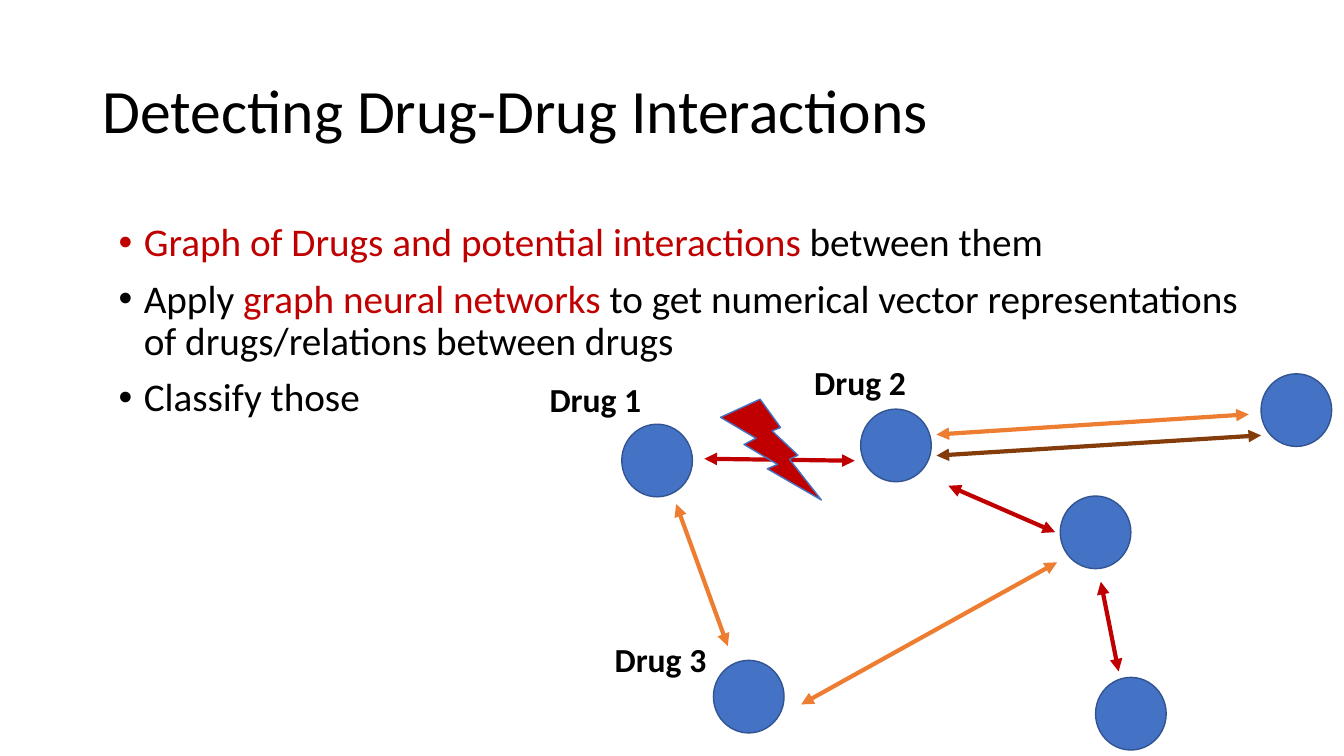
import lxml.etree
import pptx
import pptx.dml.color
import pptx.enum.shapes
import pptx.enum.text
import pptx.oxml.ns
import pptx.util

Cm = pptx.util.Cm
BLACK, RED, ORANGE, BROWN = "000000", "C00000", "ED7D31", "843C0B"
BLUE, DARK_BLUE = "4472C4", "325491"

BULLETS = [
    [("Graph of Drugs and potential interactions ", RED), ("between them", BLACK)],
    [("Apply ", BLACK), ("graph neural networks ", RED),
     ("to get numerical vector representations of drugs/relations between drugs", BLACK)],
    [("Classify those", BLACK)],
]
DRUG_NODES = [(2.07, 1.69), (8.09, 1.31), (4.38, 7.64),
              (18.18, 0.42), (14.01, 8.07), (13.12, 3.5)]
DRUG_LABELS = [("Drug 1", 0, 0.42), ("Drug 2", 6.67, 0), ("Drug 3", 1.64, 6.98)]
INTERACTIONS = [
    (3.44, 3.7, 4.74, 7.28, ORANGE),
    (4.15, 2.56, 7.94, 2.61, RED),
    (14.14, 5.66, 14.59, 7.92, RED),
    (17.87, 1.44, 10, 1.95, ORANGE),
    (13.04, 5.17, 6.59, 8.75, ORANGE),
    (10, 2.48, 18.18, 1.97, BROWN),
    (10.3, 3.24, 12.99, 4.41, RED),
]


def color(value):
    """Return the colour for a hex string."""
    return pptx.dml.color.RGBColor.from_string(value)


def apply_format(target, values):
    """Set attributes of an object from a dict."""
    for name, value in values.items():
        setattr(target, name, value)


def add_span(para, text, size, hex_color, bold=False):
    """Add a formatted run to a paragraph."""
    span = para.add_run()
    span.text = text
    apply_format(span.font, {"name": "Calibri", "size": pptx.util.Pt(size), "bold": bold})
    span.font.color.rgb = color(hex_color)


def add_text_box(page, box, wrap=True, anchor=pptx.enum.text.MSO_ANCHOR.TOP):
    """Add an empty text box and return its frame."""
    frame = page.shapes.add_textbox(*map(Cm, box)).text_frame
    apply_format(frame, {"word_wrap": wrap, "vertical_anchor": anchor})
    return frame


def add_bullet(para):
    """Give a paragraph a hanging round bullet."""
    properties = para._p.get_or_add_pPr()
    apply_format(para, {"line_spacing": 0.9, "space_before": pptx.util.Pt(10)})
    properties.set("marL", str(Cm(0.635)))
    properties.set("indent", str(-Cm(0.635)))
    for tag, values in (("a:buFont", {"typeface": "Arial"}), ("a:buChar", {"char": "•"})):
        lxml.etree.SubElement(properties, pptx.oxml.ns.qn(tag), values)


def add_filled_shape(page, kind, box, fill, line):
    """Add a flat preset shape with a thin outline."""
    shape = page.shapes.add_shape(kind, *map(Cm, box))
    shape.shadow.inherit = False
    shape.fill.solid()
    shape.fill.fore_color.rgb = color(fill)
    shape.line.color.rgb = color(line)
    shape.line.width = pptx.util.Pt(1)


def add_double_arrow(page, ends, hex_color):
    """Add a straight line with an arrowhead at each end."""
    arrow = page.shapes.add_connector(pptx.enum.shapes.MSO_CONNECTOR.STRAIGHT, *map(Cm, ends))
    arrow.line.color.rgb = color(hex_color)
    arrow.line.width = pptx.util.Pt(3)
    for tag in ("a:headEnd", "a:tailEnd"):
        lxml.etree.SubElement(arrow.line._get_or_add_ln(), pptx.oxml.ns.qn(tag), type="triangle")
    lxml.etree.SubElement(arrow._element.spPr, pptx.oxml.ns.qn("a:effectLst"))


def add_title(page, box):
    """Place the slide title in its box."""
    para = add_text_box(page, box, anchor=pptx.enum.text.MSO_ANCHOR.MIDDLE).paragraphs[0]
    para.line_spacing = 0.9
    add_span(para, "Detecting Drug-Drug Interactions", 44, BLACK)


def add_bullets(page, box):
    """Place the bulleted steps in their box."""
    frame = add_text_box(page, box)
    for index, parts in enumerate(BULLETS):
        para = frame.add_paragraph() if index else frame.paragraphs[0]
        add_bullet(para)
        for text, hex_color in parts:
            add_span(para, text, 28, hex_color)


def add_drug_graph(page, left, top):
    """Place the graph of drugs and interactions from its top left corner."""
    shapes = pptx.enum.shapes.MSO_SHAPE
    for x, y in DRUG_NODES:
        add_filled_shape(page, shapes.OVAL, (left + x, top + y, 1.78, 1.83), BLUE, DARK_BLUE)
    for text, x, y in DRUG_LABELS:
        frame = add_text_box(page, (left + x, top + y, 2.84, 1.27), wrap=False)
        add_span(frame.paragraphs[0], text, 24, BLACK, bold=True)
    for x1, y1, x2, y2, hex_color in INTERACTIONS:
        add_double_arrow(page, (left + x1, top + y1, left + x2, top + y2), hex_color)
    bolt_box = (left + 4.56, top + 1.06, 2.54, 2.54)
    add_filled_shape(page, shapes.LIGHTNING_BOLT, bolt_box, RED, BLUE)


def main():
    """Build and save the slide."""
    deck = pptx.Presentation()
    apply_format(deck, {"slide_width": Cm(33.87), "slide_height": Cm(19.05)})
    page = deck.slides.add_slide(deck.slide_layouts[6])
    add_title(page, (2.34, 1.02, 29.21, 3.68))
    add_bullets(page, (2.74, 5.49, 29.21, 12.55))
    add_drug_graph(page, 13.6, 9)
    deck.save("out.pptx")


if __name__ == "__main__":
    main()
